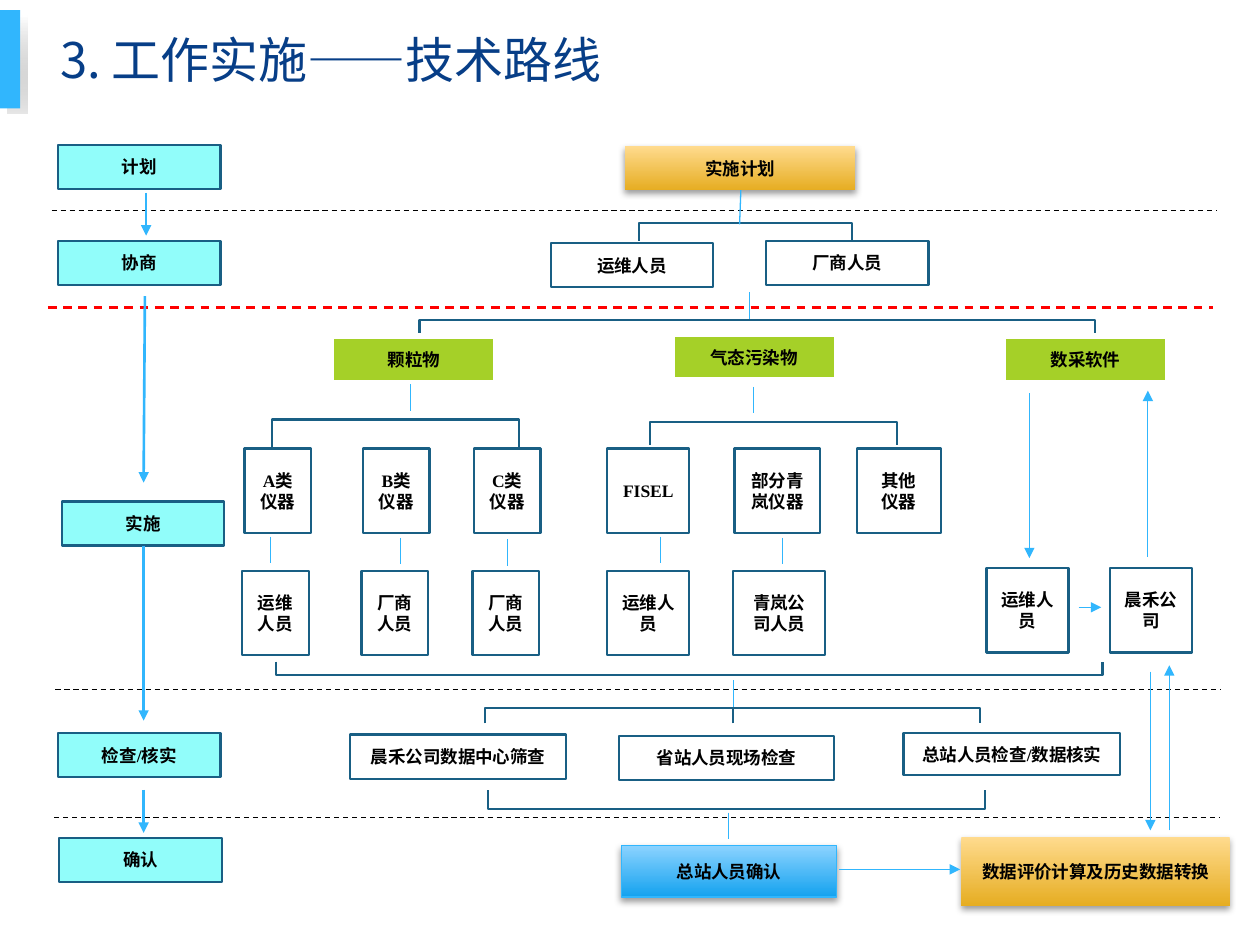
from typing import NamedTuple, Optional

from lxml import etree
from pptx import Presentation
from pptx.dml.color import RGBColor
from pptx.enum.dml import MSO_LINE
from pptx.enum.shapes import MSO_CONNECTOR, MSO_SHAPE
from pptx.enum.text import MSO_ANCHOR, PP_ALIGN
from pptx.oxml.ns import qn
from pptx.util import Cm, Pt

RECTANGLE = MSO_SHAPE.RECTANGLE
STRAIGHT = MSO_CONNECTOR.STRAIGHT
DASH = MSO_LINE.DASH
MIDDLE = MSO_ANCHOR.MIDDLE
CENTER, LEFT = PP_ALIGN.CENTER, PP_ALIGN.LEFT
LATIN_FONT, CHINESE_FONT = "Times New Roman", "Noto Sans CJK SC"

COLORS = {
    "black": "000000", "white": "FFFFFF", "gray": "808080", "red": "FF0000",
    "title": "073E87", "sky": "31B6FD", "navy": "195F84",
    "aqua": "91FDFA", "green": "A5D028",
    "gold_top": "FFDB8E", "gold_bottom": "E6AD22",
    "blue_top": "8CD3FF", "blue_bottom": "14A2EF",
}


class Style(NamedTuple):
    fill: tuple = ()  # no colour, one solid colour or two gradient colours
    line: Optional[str] = None
    width: float = 0
    shadow: bool = False


class Box(NamedTuple):
    text: str
    left: float
    top: float
    width: float
    height: float
    style: Style


class Bracket(NamedTuple):
    left: float
    right: float
    bar: float
    tips: float


class Line(NamedTuple):
    x1: float
    y1: float
    x2: float
    y2: float
    arrow: bool = False
    width: float = 0.75
    color: str = "sky"
    dashed: bool = False


OUTLINE = Style(line="navy", width=1.25)
STAGE = Style(("aqua",), "navy", 1.25)
TOPIC = Style(("green",), "white", 2)
GOLD = Style(("gold_top", "gold_bottom"), shadow=True)
BLUE = Style(("blue_top", "blue_bottom"), "sky", 0.75, True)
BAR = Style(("sky",))
BAR_SHADE = Style(("white", "gray"))

# Boxes: (text, left, top) lists share a size and a style
STAGES = [("计划", 0.46, 1.15), ("协商", 0.46, 1.91), ("实施", 0.49, 3.98),
          ("检查/核实", 0.46, 5.82), ("确认", 0.47, 6.65)]
TOPICS = [("颗粒物", 2.64, 2.68), ("气态污染物", 5.34, 2.66), ("数采软件", 7.97, 2.68)]
PARTIES = [("运维人员", 4.37, 1.93), ("厂商人员", 6.08, 1.91)]
CHECKS = [("晨禾公司数据中心筛查", 2.78, 5.83), ("省站人员现场检查", 4.91, 5.84)]
PARTICLE_CELLS = [("A类仪器", 1.94, 3.56), ("B类仪器", 2.88, 3.56), ("C类仪器", 3.76, 3.56),
                  ("运维人员", 1.92, 4.53), ("厂商人员", 2.87, 4.53), ("厂商人员", 3.75, 4.53)]
GAS_CELLS = [("FISEL", 4.82, 3.56), ("运维人员", 4.82, 4.53),
             ("运维人员", 7.83, 4.51), ("晨禾公司", 8.81, 4.51)]
GROUPS = [(STAGES, 1.29, 0.35, STAGE), (TOPICS, 1.29, 0.35, TOPIC),
          (PARTIES, 1.29, 0.35, OUTLINE), (CHECKS, 1.71, 0.35, OUTLINE),
          (PARTICLE_CELLS, 0.53, 0.67, OUTLINE), (GAS_CELLS, 0.65, 0.67, OUTLINE)]
BOXES = [Box(*entry, width, height, style)
         for entries, width, height, style in GROUPS for entry in entries] + [
    Box("实施计划", 4.96, 1.16, 1.83, 0.35, GOLD),
    Box("部分青岚仪器", 5.83, 3.56, 0.68, 0.67, OUTLINE),
    Box("其他\n仪器", 6.8, 3.56, 0.67, 0.67, OUTLINE),
    Box("青岚公司人员", 5.82, 4.53, 0.73, 0.67, OUTLINE),
    Box("总站人员检查/数据核实", 7.17, 5.82, 1.72, 0.33, OUTLINE),
    Box("总站人员确认", 4.93, 6.71, 1.71, 0.41, BLUE),
    Box("数据评价计算及历史数据转换", 7.63, 6.64, 2.13, 0.55, GOLD),
]

BRACKETS = [
    Bracket(5.07, 6.76, 1.77, 1.91), Bracket(3.33, 8.69, 2.54, 2.64),
    Bracket(2.16, 4.12, 3.33, 3.56), Bracket(5.16, 7.12, 3.35, 3.53),
    Bracket(2.19, 8.75, 5.36, 5.25), Bracket(5.82, 7.78, 5.62, 5.74),
    Bracket(3.85, 5.82, 5.62, 5.74), Bracket(3.87, 7.82, 6.42, 6.27),
]

SEPARATORS = [Line(left, y, left + 9.25, y, color=color, width=width, dashed=True)
              for left, y, color, width in [(0.41, 1.67, "black", 0.75), (0.38, 2.44, "red", 1.25),
                                            (0.44, 5.47, "black", 0.75), (0.43, 6.49, "black", 0.75)]]
STAGE_ARROWS = [Line(*ends, arrow=True, width=1.5) for ends in [
    (1.16, 1.53, 1.16, 1.87), (1.15, 2.35, 1.14, 3.83),
    (1.14, 4.33, 1.14, 5.72), (1.14, 6.27, 1.14, 6.61)]]
FLOW_ARROWS = [Line(*ends, arrow=True) for ends in [
    (8.56, 4.82, 8.74, 4.82), (9.11, 4.42, 9.11, 3.1), (8.17, 3.12, 8.17, 4.43),
    (9.28, 6.59, 9.28, 5.28), (9.13, 5.33, 9.13, 6.59), (6.66, 6.9, 7.62, 6.9)]]
LINKS = [Line(x, y, x, y + 0.21) for x, y in [
    (5.95, 2.32), (3.26, 3.05), (5.98, 3.07), (2.15, 4.26), (3.18, 4.27), (4.03, 4.28),
    (5.24, 4.26), (6.21, 4.27), (5.82, 5.4), (5.78, 6.45)]]
PLAN_LINK = Line(5.88, 1.51, 5.87, 1.78)


def length(inches: float) -> Cm:
    return Cm(inches * 2.54)


def rgb(name: str) -> RGBColor:
    return RGBColor.from_string(COLORS[name])


def add_child(parent, tag: str, **attributes: str):
    return etree.SubElement(parent, qn(tag), attributes)


def write_text(shape, text: str, *, size: float = 10, color: str = "black",
               bold: bool = True, font: str = LATIN_FONT, align=CENTER) -> None:
    frame = shape.text_frame
    frame.word_wrap = True
    frame.vertical_anchor = MIDDLE
    frame.text = text
    for paragraph in frame.paragraphs:
        paragraph.alignment = align
        for run in paragraph.runs:
            run.font.size, run.font.bold, run.font.name = Pt(size), bold, font
            run.font.color.rgb = rgb(color)
            add_child(run._r.get_or_add_rPr(), "a:ea", typeface=CHINESE_FONT)


def apply_style(shape, style: Style) -> None:
    shape.shadow.inherit = False
    if len(style.fill) == 2:
        shape.fill.gradient()
        shape.fill.gradient_angle = 270
        for position, (stop, name) in enumerate(zip(shape.fill.gradient_stops, style.fill)):
            stop.color.rgb = rgb(name)
            stop.position = position
    elif style.fill:
        shape.fill.solid()
        shape.fill.fore_color.rgb = rgb(style.fill[0])
    else:
        shape.fill.background()
    if style.line:
        shape.line.color.rgb = rgb(style.line)
        shape.line.width = Pt(style.width)
    else:
        shape.line.fill.background()
    if style.shadow:
        effects = shape._element.spPr.find(qn("a:effectLst"))
        shadow = add_child(effects, "a:outerShdw", blurRad=str(Pt(4)), dist=str(Pt(2)),
                           dir="5400000", rotWithShape="0")
        add_child(add_child(shadow, "a:srgbClr", val=COLORS["black"]), "a:alpha", val="38000")


def draw_box(slide, box: Box):
    shape = slide.shapes.add_shape(RECTANGLE, *map(length, box[1:5]))
    apply_style(shape, box.style)
    if box.text:
        write_text(shape, box.text)
    return shape


def draw_bracket(slide, bracket: Bracket) -> None:
    left, right, bar, tips = map(length, bracket)
    builder = slide.shapes.build_freeform(left, tips)
    builder.add_line_segments([(left, bar), (right, bar), (right, tips)], close=False)
    apply_style(builder.convert_to_shape(), OUTLINE)


def draw_line(slide, line: Line) -> None:
    connector = slide.shapes.add_connector(STRAIGHT, *map(length, line[:4]))
    connector.line.color.rgb = rgb(line.color)
    connector.line.width = Pt(line.width)
    if line.dashed:
        connector.line.dash_style = DASH
    if line.arrow:
        add_child(connector.line._get_or_add_ln(), "a:tailEnd", type="triangle")
    add_child(connector._element.spPr, "a:effectLst")


def main() -> None:
    presentation = Presentation()
    presentation.slide_width, presentation.slide_height = length(10), length(7.5)
    slide = presentation.slides.add_slide(presentation.slide_layouts[6])

    # Title with its side bar
    shade = draw_box(slide, Box("", 0.06, 0.12, 0.16, 0.78, BAR_SHADE))
    last_color = list(shade._element.spPr.iter(qn("a:srgbClr")))[-1]
    add_child(last_color, "a:alpha", val="19000")
    draw_box(slide, Box("", 0, 0.08, 0.16, 0.78, BAR))
    title = slide.shapes.add_textbox(*map(length, (0.38, 0.08, 9, 0.78)))
    write_text(title, "3. 工作实施——技术路线", size=28, color="title", bold=False,
               font=CHINESE_FONT, align=LEFT)

    # Flow chart
    for box in BOXES:
        draw_box(slide, box)
    for bracket in BRACKETS:
        draw_bracket(slide, bracket)
    for line in SEPARATORS + STAGE_ARROWS + FLOW_ARROWS + LINKS + [PLAN_LINK]:
        draw_line(slide, line)

    presentation.save("out.pptx")


if __name__ == "__main__":
    main()
